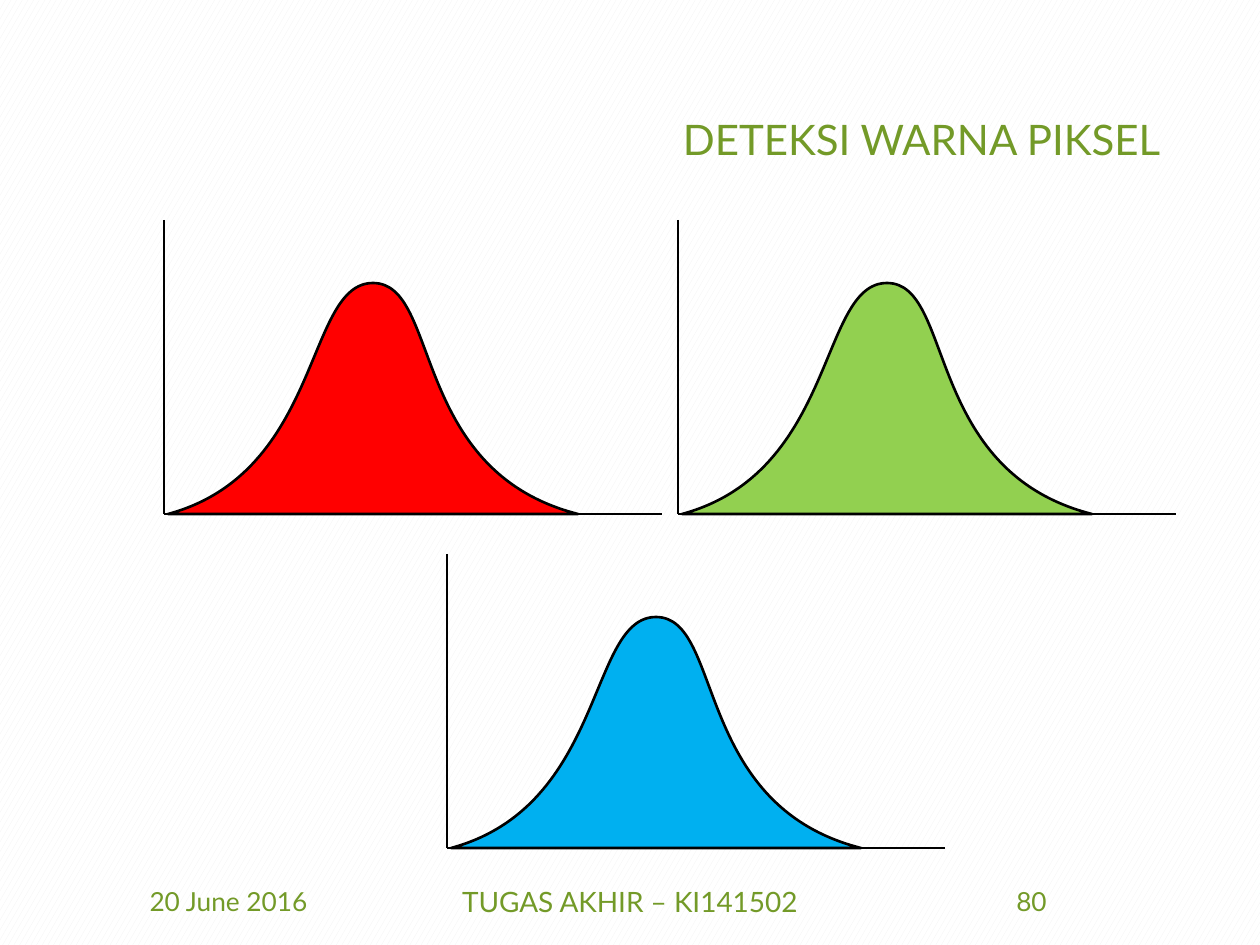
import pptx
import pptx.dml.color
import pptx.enum.dml
import pptx.enum.shapes
import pptx.enum.text
import pptx.oxml
import pptx.oxml.ns
import pptx.util

SCALE = 914400 / 126  # EMU per px
COLORS = {
    "white": "FFFFFF",
    "pattern": "F2F2F2",
    "text": "739A28",
    "line": "000000",
    "red": "FF0000",
    "green": "92D050",
    "blue": "00B0F0",
}


def emu(px):
    return pptx.util.Emu(round(px * SCALE))


def color(name):
    return pptx.dml.color.RGBColor.from_string(COLORS[name])


deck = pptx.Presentation()
deck.slide_width, deck.slide_height = emu(1260), emu(945)
page = deck.slides.add_slide(deck.slide_layouts[5])
background = page.background.fill
background.patterned()
background.pattern = pptx.enum.dml.MSO_PATTERN.LARGE_CONFETTI
background.fore_color.rgb = color("pattern")
background.back_color.rgb = color("white")

# Title and footer
title = page.shapes.title
title.left, title.top, title.width, title.height = map(emu, (87, 50, 1086, 183))
align = pptx.enum.text.PP_ALIGN
labels = [(title, "DETEKSI WARNA PIKSEL", 24, align.RIGHT)]
for text, size, left, width in [
    ("20 June 2016", 15, 87, 283),
    ("TUGAS AKHIR – KI141502", 16, 417, 426),
    ("80", 15, 890, 283),
]:
    box = page.shapes.add_textbox(emu(left), emu(876), emu(width), emu(50))
    labels.append((box, text, size, align.CENTER))

for box, text, size, alignment in labels:
    frame = box.text_frame
    frame.text = text
    frame.word_wrap = True
    frame.vertical_anchor = pptx.enum.text.MSO_ANCHOR.MIDDLE
    para = frame.paragraphs[0]
    para.alignment = alignment
    span = para.runs[0]
    span.font.name = "Lato"
    span.font.size = pptx.util.Pt(size)
    span.font.color.rgb = color("text")
title.text_frame.paragraphs[0].line_spacing = 0.9

# Two cubic curves, as (right, up) from the left foot: two handles, then an end
bell_points = [
    (155, 42), (137, 231), (205, 231),
    (273, 231), (241, 43), (410, 0),
]

# One histogram per colour channel, placed by its axis origin
for channel, x, y in [("red", 164, 514), ("green", 678, 514), ("blue", 447, 848)]:
    foot = x + 4
    builder = page.shapes.build_freeform(emu(foot), emu(y))
    builder.add_line_segments(
        [(emu(foot + right), emu(y - up)) for right, up in bell_points], close=True
    )
    bell = builder.convert_to_shape()
    # Join each three segments into one cubic curve
    segments = list(bell._element.iter(pptx.oxml.ns.qn("a:lnTo")))
    for first in (0, 3):
        curve = segments[first]
        curve.tag = pptx.oxml.ns.qn("a:cubicBezTo")
        for segment in segments[first + 1:first + 3]:
            curve.extend(list(segment))
            segment.getparent().remove(segment)
    bell.shadow.inherit = False
    bell.fill.solid()
    bell.fill.fore_color.rgb = color(channel)
    outlined = [bell]
    for start_x, start_y, end_x, end_y in [(x, y - 294, x, y), (x + 498, y, x, y)]:
        axis_line = page.shapes.add_connector(
            pptx.enum.shapes.MSO_CONNECTOR.STRAIGHT,
            emu(start_x), emu(start_y), emu(end_x), emu(end_y),
        )
        axis_line._element.spPr.append(pptx.oxml.parse_xml(
            f"<a:effectLst {pptx.oxml.ns.nsdecls('a')}/>"
        ))
        outlined.append(axis_line)
    for shape in outlined:
        shape.line.color.rgb = color("line")
        shape.line.width = pptx.util.Pt(1.5)

deck.save("out.pptx")
